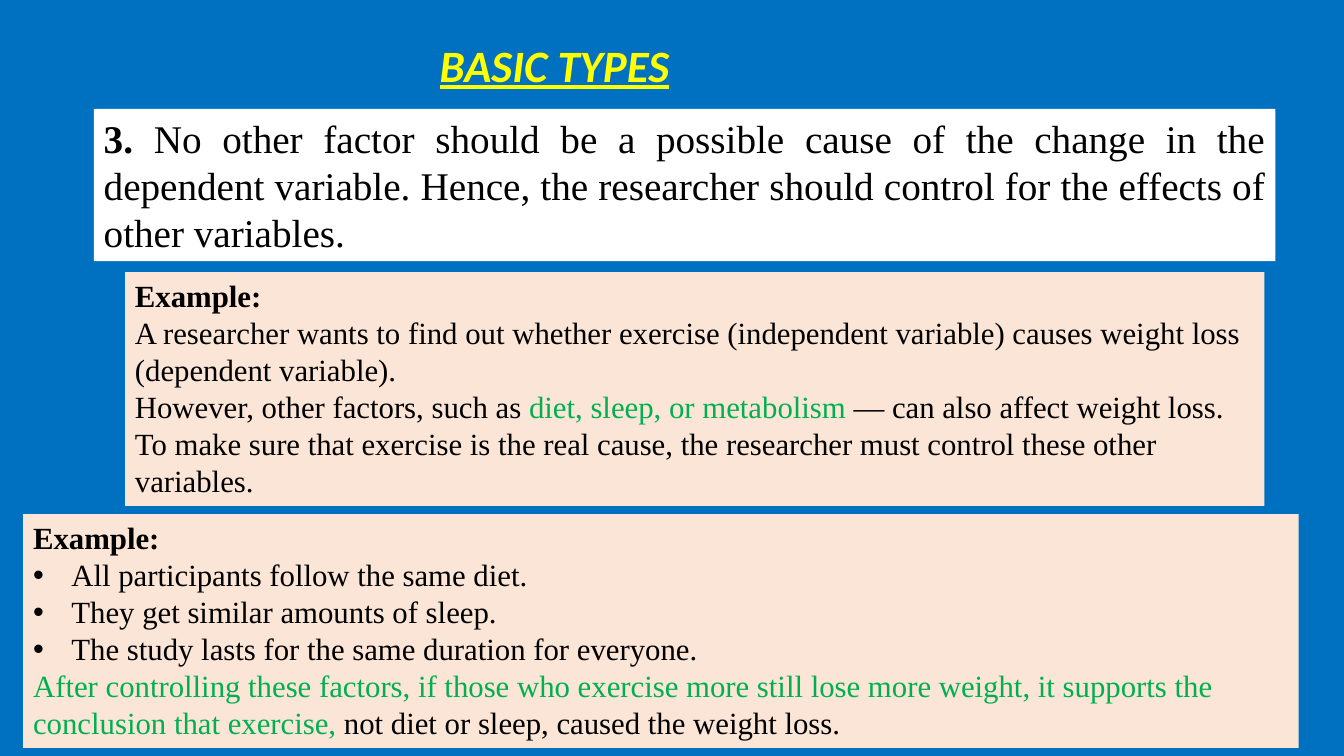
from lxml import etree
from pptx import Presentation, util as u
from pptx.dml.color import RGBColor
from pptx.enum import shapes, text
from pptx.oxml.ns import qn

HUES = {"blue": "0070C0", "yellow": "FFFF00", "white": "FFFFFF",
        "peach": "FBE5D6", "black": "000000", "green": "00B050"}


def hue(name):
    return RGBColor.from_string(HUES[name])


def bullet(para):
    props = para._p.get_or_add_pPr()
    props.set("marL", str(u.Inches(0.38)))
    props.set("indent", str(-u.Inches(0.38)))
    etree.SubElement(props, qn("a:buFont"), typeface="Arial")
    etree.SubElement(props, qn("a:buChar"), char="•")


deck = Presentation()
deck.slide_width, deck.slide_height = u.Inches(13.33), u.Inches(7.5)
slide = deck.slides.add_slide(deck.slide_layouts[5])
slide.background.fill.solid()
slide.background.fill.fore_color.rgb = hue("blue")

title = slide.shapes.title
title.left, title.top = u.Inches(1.11), u.Inches(0.38)
title.width, title.height = u.Inches(8.78), u.Inches(0.59)
title.text_frame.text = "BASIC TYPES"
title.text_frame.vertical_anchor = text.MSO_ANCHOR.MIDDLE
head = title.text_frame.paragraphs[0]
head.alignment = text.PP_ALIGN.CENTER
head.line_spacing = 0.9
head.font.name, head.font.size = "Calibri", u.Pt(32)
head.font.bold = head.font.italic = head.font.underline = True
head.font.color.rgb = hue("yellow")

left, just = text.PP_ALIGN.LEFT, text.PP_ALIGN.JUSTIFY
rule = [
    [("3. ", "bold"), ("No other factor should be a possible cause of the change in the dependent variable. Hence, the researcher should control for the effects of other variables.", "")],
]
study = [
    [("Example:\v", "bold"), ("A researcher wants to find out whether exercise (independent variable) causes weight loss (dependent variable).", "")],
    [("However, other factors, such as ", ""), ("diet, sleep, or metabolism ", "green"),
     ("— can also affect weight loss. To make sure that exercise is the real cause, the researcher must control these other variables.", "")],
]
control = [
    [("Example:", "bold")],
    [("All participants follow the same diet.", "bullet")],
    [("They get similar amounts of sleep.", "bullet")],
    [("The study lasts for the same duration for everyone.", "bullet")],
    [("After controlling these factors, if those who exercise more still lose more weight, it supports the conclusion that exercise,", "green"),
     (" not diet or sleep, caused the weight loss.", "")],
]
boxes = [
    (0.93, 1.08, 11.72, 1.51, "white", 28, just, rule),
    (1.24, 2.7, 11.3, 2.32, "peach", 22, left, study),
    (0.23, 5.1, 12.65, 2.32, "peach", 22, left, control),
]

for x, y, wide, high, fill, size, align, paras in boxes:
    box = slide.shapes.add_shape(shapes.MSO_SHAPE.RECTANGLE,
                                 *map(u.Inches, (x, y, wide, high)))
    box.shadow.inherit = False
    box.fill.solid()
    box.fill.fore_color.rgb = hue(fill)
    box.line.fill.background()
    frame = box.text_frame
    frame.word_wrap = True
    frame.vertical_anchor = text.MSO_ANCHOR.TOP
    for i, parts in enumerate(paras):
        para = frame.paragraphs[0] if i == 0 else frame.add_paragraph()
        if parts[0][1] == "bullet":
            bullet(para)
        para.alignment = align
        para.font.name, para.font.size = "Times New Roman", u.Pt(size)
        para.font.color.rgb = hue("black")
        for words, style in parts:
            run = para.add_run()
            run.text = words.rstrip("\v")
            if style == "bold":
                run.font.bold = True
            if style == "green":
                run.font.color.rgb = hue("green")
            if words.endswith("\v"):
                para.add_line_break()

deck.save("out.pptx")
